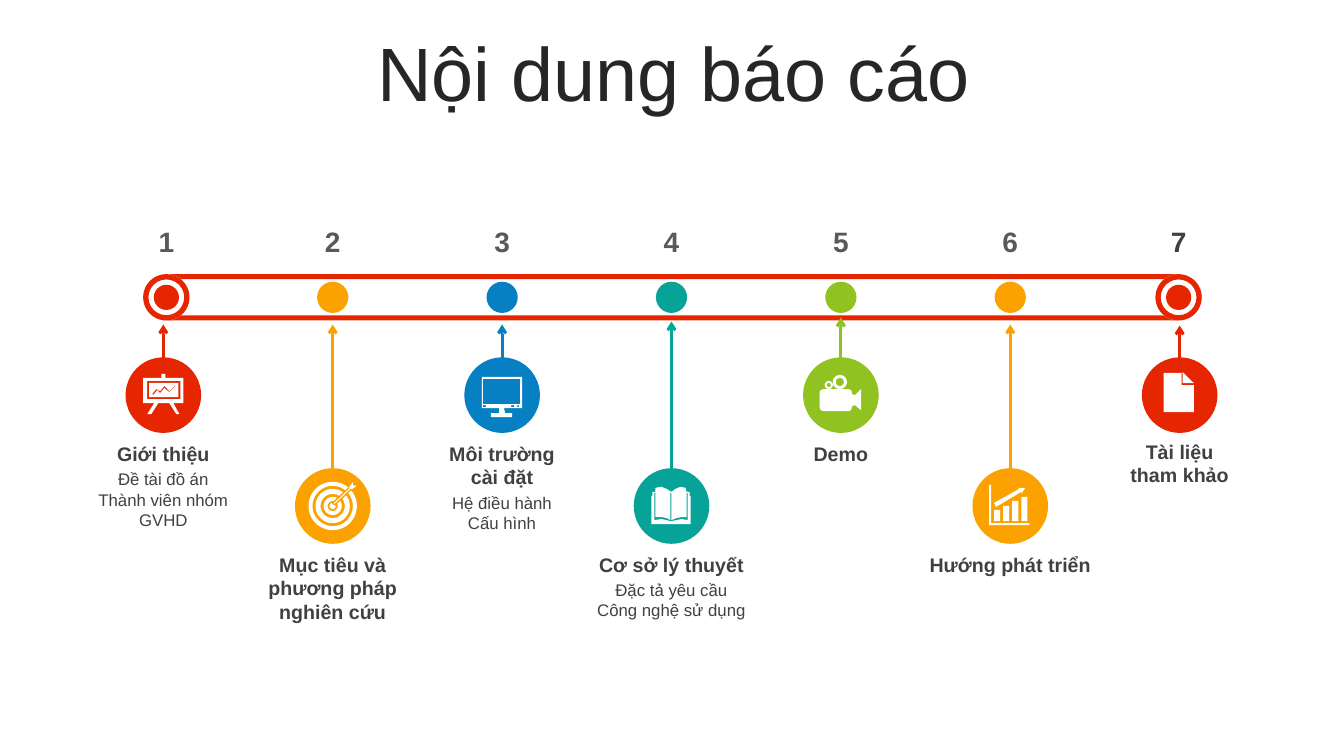
from dataclasses import dataclass
from math import cos, pi, sin

from lxml.etree import SubElement
from pptx import Presentation
from pptx.dml.color import RGBColor
from pptx.enum.shapes import MSO_CONNECTOR, MSO_SHAPE
from pptx.enum.text import MSO_ANCHOR, PP_ALIGN
from pptx.oxml.ns import qn
from pptx.util import Inches, Pt

RED = RGBColor(0xE6, 0x26, 0x01)
ORANGE = RGBColor(0xFB, 0xA2, 0x00)
BLUE = RGBColor(0x06, 0x80, 0xC3)
TEAL = RGBColor(0x07, 0xA3, 0x98)
GREEN = RGBColor(0x90, 0xC2, 0x21)
WHITE = RGBColor(0xFF, 0xFF, 0xFF)
TITLE_INK = RGBColor(0x26, 0x26, 0x26)
TEXT_INK = RGBColor(0x40, 0x40, 0x40)
NUMBER_INK = RGBColor(0x59, 0x59, 0x59)

STEP = 1.68       # distance between neighbouring topics
DISC = 0.75       # diameter of an icon disc
LOWER_ROW = 1.1   # drop of every second topic


def rect(left, top, right, bottom):
    return [(left, top), (right, top), (right, bottom), (left, bottom)]


def circle(x, y, radius, sides=48):
    return [(x + radius * cos(2 * pi * i / sides), y + radius * sin(2 * pi * i / sides))
            for i in range(sides)]


# Icon outlines in inches around the disc centre; inner outlines cut holes.
# Each icon is a list of layers, and upper layers are edged in the disc colour.
EASEL = [[
    [(-.02, -.17), (-.02, -.21), (.02, -.21), (.02, -.17), (.2, -.17), (.2, .08),
     (.1, .08), (.16, .19), (.13, .19), (.06, .08), (-.05, .08), (-.12, .19),
     (-.16, .19), (-.09, .08), (-.2, .08), (-.2, -.17)],
    rect(-.16, -.14, .17, .04), rect(-.14, -.12, .15, .02),
    [(-.11, -.01), (-.07, -.06), (-.03, -.04), (.01, -.09), (.06, -.04), (.12, -.1),
     (.12, -.09), (.06, -.03), (.01, -.07), (-.03, -.02), (-.06, -.05), (-.1, 0)],
]]
TARGET = [
    [circle(0, 0, radius) for radius in (.24, .2, .17, .12, .09, .05, .03)],
    [[(.21, -.26), (.21, -.21), (.26, -.21), (.2, -.16), (.18, -.16), (.02, -.01),
      (0, -.03), (.16, -.18), (.16, -.2)]],
]
MONITOR = [[
    [(-.2, -.18), (.2, -.18), (.2, .13), (.02, .13), (.03, .18), (.1, .18), (.1, .22),
     (-.11, .22), (-.11, .18), (-.03, .18), (-.03, .13), (-.2, .13)],
    rect(-.19, -.16, .18, .09), rect(-.19, .1, -.16, .12), rect(.09, .1, .12, .12),
    circle(.16, .11, .01),
]]
BOOK = [[
    [(-.2, .18), (-.2, -.1), (-.19, -.1), (-.19, -.14), (-.16, -.14), (-.16, -.18),
     (-.1, -.19), (-.05, -.17), (0, -.14), (.04, -.17), (.09, -.19), (.14, -.18),
     (.15, -.14), (.18, -.14), (.18, -.1), (.19, -.1), (.19, .18)],
    [(-.17, -.13), (-.16, -.13), (-.16, .11), (-.1, .11), (-.05, .12), (-.01, .14),
     (-.01, -.13), (0, -.13), (0, .14), (.05, .12), (.1, .11), (.15, .11), (.15, -.13),
     (.16, -.13), (.16, .14), (.1, .13), (.05, .14), (0, .15), (-.01, .15), (-.05, .14),
     (-.1, .13), (-.17, .14)],
]]
CAMERA = [[
    [(-.21, -.03), (-.2, -.05), (-.17, -.06), (.07, -.06), (.1, -.05), (.11, -.03),
     (.11, -.01), (.14, 0), (.2, -.06), (.2, .15), (.14, .1), (.11, .11), (.11, .12),
     (.1, .15), (.07, .16), (-.17, .16), (-.2, .15), (-.21, .12)],
    circle(-.01, -.13, .07), circle(-.01, -.13, .04),
    circle(-.12, -.1, .04), circle(-.12, -.1, .02),
]]
GROWTH = [[
    *[rect(-.16 + .09 * i, top, -.1 + .09 * i, .15)
      for i, top in enumerate((.04, 0, -.05, -.09))],
    [(.08, -.18), (.15, -.18), (.11, -.12), (.11, -.14), (-.14, .01), (-.16, -.03),
     (.09, -.17)],
    [(-.21, -.21), (-.19, -.21), (-.19, .17), (.19, .17), (.19, .19), (-.21, .19)],
]]
SHEET = [[
    [(-.16, -.22), (.02, -.22), (.02, -.1), (.14, -.1), (.14, .17), (-.16, .17)],
    [(.03, -.23), (.14, -.12), (.03, -.12)],
]]


@dataclass
class Topic:
    heading: list
    details: list
    color: RGBColor
    icon: list
    heading_lines: int = 1
    arrow_tip: float = 3.22
    number_ink: RGBColor = NUMBER_INK


TOPICS = [
    Topic(["Giới thiệu"], ["Đề tài đồ án", "Thành viên nhóm", "GVHD"], RED, EASEL),
    Topic(["Mục tiêu và phương pháp nghiên cứu"], [], ORANGE, TARGET, 3),
    Topic(["Môi trường", "cài đặt"], ["Hệ điều hành", "Cấu hình"], BLUE, MONITOR, 2),
    Topic(["Cơ sở lý thuyết"], ["Đặc tả yêu cầu", "Công nghệ sử dụng"], TEAL, BOOK,
          arrow_tip=3.19),
    Topic(["Demo"], [], GREEN, CAMERA, arrow_tip=3.15),
    Topic(["Hướng phát triển"], [], ORANGE, GROWTH),
    Topic(["Tài liệu", "tham khảo"], [], RED, SHEET, 2, 3.23, TEXT_INK),
]


def paint(shape, color):
    shape.shadow.inherit = False
    shape.fill.solid()
    shape.fill.fore_color.rgb = color
    shape.line.fill.background()
    return shape


def add_filled(slide, kind, left, top, width, height, color):
    return paint(slide.shapes.add_shape(
        kind, Inches(left), Inches(top), Inches(width), Inches(height)), color)


def add_dot(slide, x, y, size, color, kind=MSO_SHAPE.OVAL):
    return add_filled(slide, kind, x - size / 2, y - size / 2, size, size, color)


def write_lines(frame, lines, size, color, bold=False, anchor=MSO_ANCHOR.MIDDLE):
    frame.word_wrap, frame.vertical_anchor = True, anchor
    font_format = {"name": "Arial", "size": Pt(size), "bold": bold}
    for i, line in enumerate(lines):
        paragraph = frame.paragraphs[0] if i == 0 else frame.add_paragraph()
        paragraph.alignment = PP_ALIGN.CENTER
        run = paragraph.add_run()
        run.text = line
        for key, value in font_format.items():
            setattr(run.font, key, value)
        run.font.color.rgb = color


def add_label(slide, x, top, width, height, lines, *style, **options):
    label = slide.shapes.add_textbox(
        Inches(x - width / 2), Inches(top), Inches(width), Inches(height))
    write_lines(label.text_frame, lines, *style, **options)


def add_arrow(slide, x, start, tip, color):
    arrow = slide.shapes.add_connector(
        MSO_CONNECTOR.STRAIGHT, Inches(x), Inches(start), Inches(x), Inches(tip))
    arrow.line.color.rgb, arrow.line.width = color, Pt(2)
    SubElement(arrow.line._get_or_add_ln(), qn("a:tailEnd"), type="arrow")
    SubElement(arrow._element.spPr, qn("a:effectLst"))


def add_icon(slide, x, y, layers, edge):
    for level, outlines in enumerate(layers):
        placed = [[(Inches(x + dx), Inches(y + dy)) for dx, dy in outline]
                  for outline in outlines]
        builder = slide.shapes.build_freeform(*placed[0][0])
        for i, points in enumerate(placed):
            if i:
                builder.move_to(*points[0])
            builder.add_line_segments(points[1:], close=True)
        figure = paint(builder.convert_to_shape(), WHITE)
        if level:
            figure.line.color.rgb, figure.line.width = edge, Pt(1)


def add_title(slide, left, top, width, height):
    title = slide.shapes.title
    title.left, title.top, title.width, title.height = map(
        Inches, (left, top, width, height))
    write_lines(title.text_frame, ["Nội dung báo cáo"], 54, TITLE_INK)
    title.text_frame.paragraphs[0].line_spacing = 0.9


def add_track(slide, left, top, width, height):
    """Two rails with a ringed dot at each end."""
    for rail_top in (top, top + height - 0.05):
        add_filled(slide, MSO_SHAPE.RECTANGLE, left, rail_top, width, 0.05, RED)
    for x in (left, left + width):
        add_dot(slide, x, top + height / 2, height, WHITE)
        ring = add_dot(slide, x, top + height / 2, height, RED, MSO_SHAPE.DONUT)
        ring.adjustments[0] = 0.114
        add_dot(slide, x, top + height / 2, 0.25, RED)


def add_topic(slide, x, top, number, topic):
    """Number, track dot, arrow, icon disc and texts, centred on x."""
    ends = {1: 0.03, len(TOPICS): -0.01}
    add_label(slide, x + ends.get(number, 0), top, 1.02, 0.44, [str(number)], 20,
              topic.number_ink, bold=True)
    if number not in ends:
        add_dot(slide, x, top + 0.78, 0.31, topic.color)
    disc_y = top + 1.75 + (LOWER_ROW if number % 2 == 0 else 0)
    add_arrow(slide, x, disc_y - DISC / 2 + 0.03, topic.arrow_tip, topic.color)
    add_dot(slide, x, disc_y, DISC, topic.color)
    add_icon(slide, x, disc_y, topic.icon, topic.color)
    heading_top = disc_y + (0.39 if number == len(TOPICS) else 0.41)
    heading_height = 0.1 + 0.235 * topic.heading_lines
    add_label(slide, x, heading_top, 1.8 if number == 6 else 1.7, heading_height,
              topic.heading, 14, TEXT_INK, bold=True)
    if topic.details:
        add_label(slide, x, heading_top + heading_height - 0.06, 1.7,
                  0.1 + 0.2 * len(topic.details), topic.details, 12, TEXT_INK,
                  anchor=MSO_ANCHOR.TOP)


def main():
    deck = Presentation()
    deck.slide_width, deck.slide_height = Inches(13.33), Inches(7.5)
    slide = deck.slides.add_slide(deck.slide_layouts[5])
    add_title(slide, 0.35, 0.37, 12.66, 0.79)
    add_track(slide, 1.65, 2.72, 10.04, 0.46)
    for i, topic in enumerate(TOPICS):
        add_topic(slide, 1.62 + STEP * i, 2.17, i + 1, topic)
    deck.save("out.pptx")


if __name__ == "__main__":
    main()
